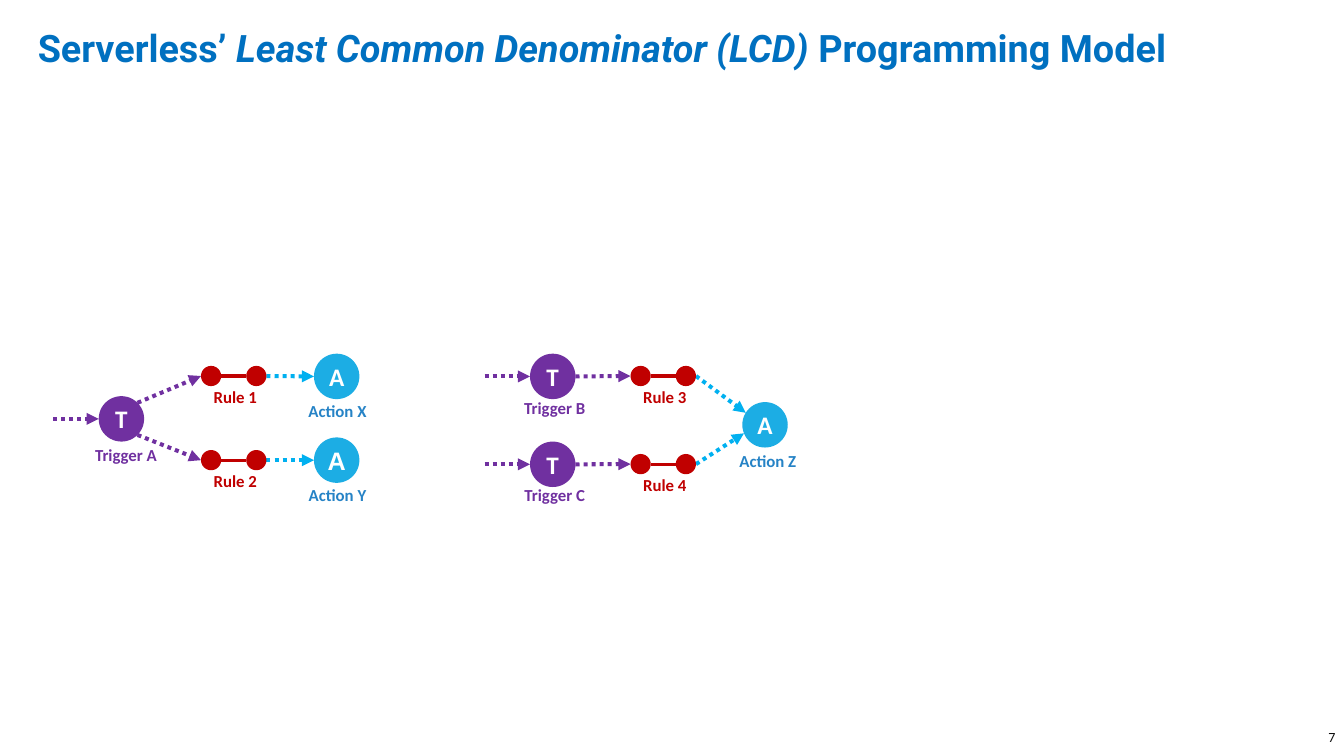
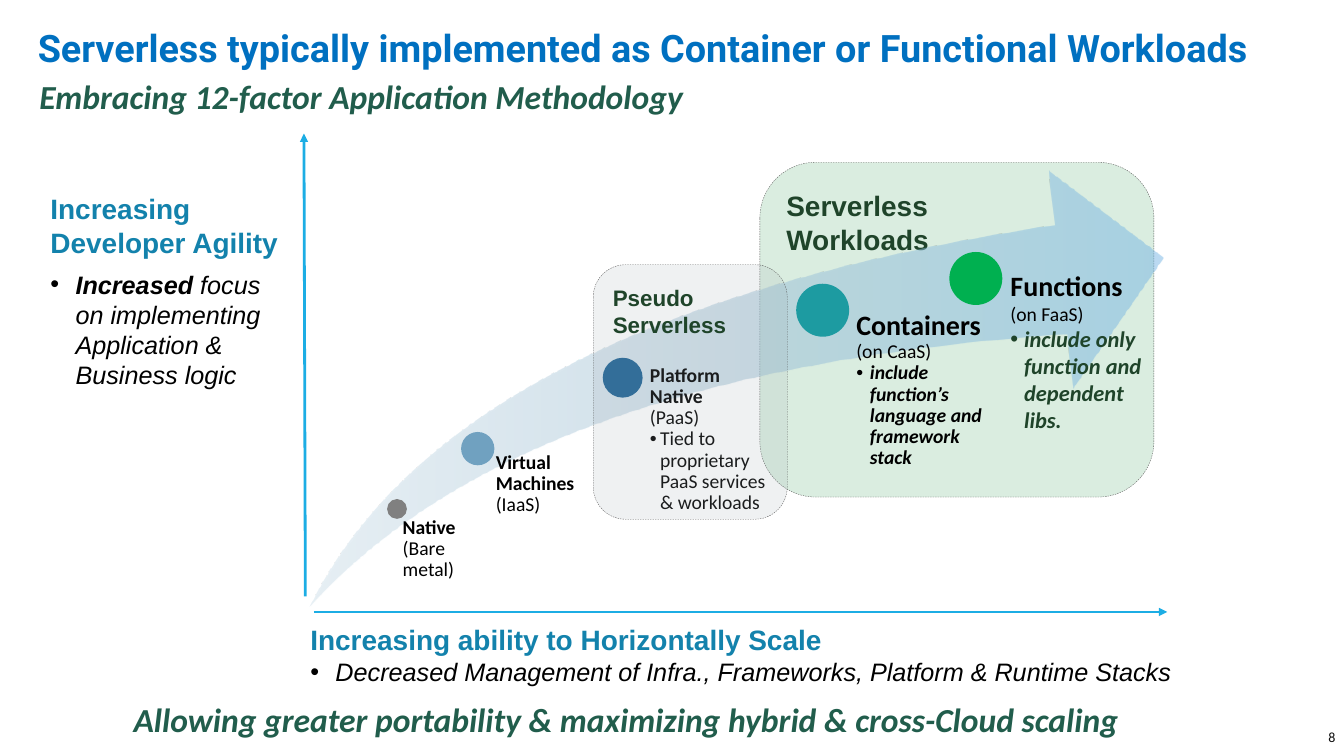
from dataclasses import dataclass
from math import cos, radians, sin
from typing import Any

from lxml import etree
from pptx import Presentation
from pptx import util as u
from pptx.dml.color import RGBColor
from pptx.enum import dml, shapes, text
from pptx.oxml.ns import qn

Cm, Pt = u.Cm, u.Pt
SHAPE, ALIGN, ANCHOR = shapes.MSO_SHAPE, text.PP_ALIGN, text.MSO_ANCHOR
DASH = dml.MSO_LINE


@dataclass(frozen=True)
class Theme:
    title: str = "0070C0"
    subtitle: str = "215D4C"
    heading: str = "1382AC"
    panel_text: str = "1F442A"
    panel_line: str = "595959"
    trigger: str = "7030A0"
    rule: str = "C00000"
    action: str = "1CADE4"
    action_label: str = "2683C6"
    action_arrow: str = "00B0F0"
    number: str = "0D0D0D"
    black: str = "000000"
    white: str = "FFFFFF"
    title_font: str = "Roboto"
    body_font: str = "Calibri"
    alt_font: str = "Arial"
    title_size: int = 54
    banner_size: int = 48
    head_size: int = 40
    letter_size: int = 36
    medium_size: int = 32
    small_size: int = 28
    label_size: int = 24
    number_size: int = 20
    dotted_width: float = 5.75
    rule_width: float = 4.5
    axis_width: float = 4


T = Theme()
NODE, DOT, RULE_LEN = 2.29, 1.02, 3.3
SWOOSH_STOPS = ((0, "CFE0EA"), (48, "A0C1D5"), (100, "75B6E5"))


@dataclass(frozen=True)
class Node:
    """A lettered circle, given by its centre; dx and drop place its label."""
    letter: str
    label: str
    x: float
    y: float
    dx: float
    drop: float
    font: str = T.body_font

    def port(self, degrees: float) -> tuple[float, float]:
        a = radians(degrees)
        return self.x + NODE / 2 * cos(a), self.y + NODE / 2 * sin(a)


@dataclass(frozen=True)
class Rule:
    """A pair of joined dots; each angle is where its arrow meets the circle."""
    label: str
    left: float
    y: float
    trigger: Node
    action: Node
    trigger_angle: float = 0
    action_angle: float = 180


@dataclass(frozen=True)
class Stage:
    """A dot on the swoosh with the text box beside it."""
    dot: tuple[float, float, float]
    color: str
    box: tuple[float, float, float, float]
    inset: float
    names: tuple[str, ...]
    service: str
    head_size: int = T.small_size
    line: float = 0.9
    bullet: str = ""
    hang: float = 0.69
    bullet_format: tuple[tuple[str, Any], ...] = ()


def write(tf, content: str, *, size: float, color: str = T.black, font: str = T.body_font,
          bold: bool = False, italic: bool = False, align=ALIGN.LEFT, line: float = 1.0,
          before: float = 0, hang: float = 0, join: bool = False) -> None:
    """Add a paragraph, or with join a further run of the last one; hang makes a bullet."""
    p = tf.paragraphs[-1]
    if not join:
        if p.runs:
            p = tf.add_paragraph()
        if hang:
            pPr = p._p.get_or_add_pPr()
            pPr.set("marL", str(Cm(hang)))
            pPr.set("indent", str(-Cm(hang)))
            etree.SubElement(pPr, qn("a:buFont"), typeface="Arial")
            etree.SubElement(pPr, qn("a:buChar"), char="•")
        p.alignment, p.line_spacing = align, line
        if before:
            p.space_before = Pt(before)
    r = p.add_run()
    r.text = content
    f = r.font
    f.name, f.size, f.bold, f.italic = font, Pt(size), bold, italic
    f.color.rgb = RGBColor.from_string(color)


def set_frame(tf, insets=None, anchor=ANCHOR.TOP, wrap: bool = True) -> None:
    tf.word_wrap, tf.vertical_anchor = wrap, anchor
    tf.auto_size = text.MSO_AUTO_SIZE.NONE
    if insets is not None:
        tf.margin_left, tf.margin_top, tf.margin_right, tf.margin_bottom = map(Cm, insets)


def add_box(s, box, **frame):
    tf = s.shapes.add_textbox(*map(Cm, box)).text_frame
    set_frame(tf, **frame)
    return tf


def add_shape(s, kind, box, color: str = "", alpha: int = 100):
    sp = s.shapes.add_shape(kind, *map(Cm, box))
    sp.shadow.inherit = False
    sp.line.fill.background()
    if color:
        sp.fill.solid()
        sp.fill.fore_color.rgb = RGBColor.from_string(color)
        if alpha < 100:
            clr = sp.element.spPr.find(".//" + qn("a:srgbClr"))
            etree.SubElement(clr, qn("a:alpha"), val=str(alpha * 1000))
    return sp


def add_line(s, start, end, color: str, width: float, dash=None, arrow: bool = True) -> None:
    c = s.shapes.add_connector(shapes.MSO_CONNECTOR.STRAIGHT, *map(Cm, (*start, *end)))
    c.line.color.rgb = RGBColor.from_string(color)
    c.line.width = Pt(width)
    if dash:
        c.line.dash_style = dash
    spPr = c.element.spPr
    if arrow:
        etree.SubElement(spPr.find(qn("a:ln")), qn("a:tailEnd"), type="triangle")
    etree.SubElement(spPr, qn("a:effectLst"))


def add_slide(prs, number: int, *title: tuple[str, bool]):
    """Title-only slide; the title comes as (text, italic) parts."""
    s = prs.slides.add_slide(prs.slide_layouts[5])
    sp = s.shapes.title
    sp.left, sp.top, sp.width, sp.height = map(Cm, (1.65, 1.32, 65.02, 2.39))
    set_frame(sp.text_frame, anchor=ANCHOR.MIDDLE)
    for i, (part, italic) in enumerate(title):
        write(sp.text_frame, part, size=T.title_size, color=T.title, font=T.title_font,
              bold=True, italic=italic, line=0.9, join=i > 0)
    tf = add_box(s, (55.5, 36.7, 11.81, 1.02), insets=(0, 0, 0, 0))
    write(tf, str(number), size=T.number_size, color=T.number, align=ALIGN.RIGHT)
    return s


def add_label(s, label: str, x: float, top: float, color: str) -> None:
    tf = add_box(s, (x - 3.43, top, 6.86, 1.27))
    write(tf, label, size=T.label_size, color=color, bold=True, align=ALIGN.CENTER)


def add_node(s, n: Node, fill: str, label_color: str) -> None:
    left, top = n.x - NODE / 2, n.y - NODE / 2
    sp = add_shape(s, SHAPE.OVAL, (left, top, NODE, NODE), fill)
    set_frame(sp.text_frame, (0, 0, 0, 0), ANCHOR.MIDDLE, wrap=False)
    write(sp.text_frame, n.letter, size=T.letter_size, color=T.white, font=n.font,
          bold=True, align=ALIGN.CENTER)
    add_label(s, n.label, n.x + n.dx, top + n.drop, label_color)


def add_rule(s, rule: Rule) -> None:
    left, right, y = rule.left, rule.left + RULE_LEN, rule.y
    add_line(s, rule.trigger.port(rule.trigger_angle), (left, y), T.trigger,
             T.dotted_width, DASH.ROUND_DOT)
    add_line(s, (right, y), rule.action.port(rule.action_angle), T.action_arrow,
             T.dotted_width, DASH.ROUND_DOT)
    add_line(s, (left + DOT, y), (right - DOT, y), T.rule, T.rule_width, arrow=False)
    for x in (left, right - DOT):
        add_shape(s, SHAPE.FLOWCHART_CONNECTOR, (x, y - DOT / 2, DOT, DOT), T.rule)
    add_label(s, rule.label, left + RULE_LEN / 2 + 0.08, y + 0.43, T.rule)


def add_panel(s, box, color: str, alpha: int, size: int, *lines: str) -> None:
    sp = add_shape(s, SHAPE.ROUNDED_RECTANGLE, box, color, alpha)
    sp.line.color.rgb = RGBColor.from_string(T.panel_line)
    sp.line.width, sp.line.dash_style = Pt(0.5), DASH.DASH
    set_frame(sp.text_frame, (0.51,) * 4)
    for line in lines:
        write(sp.text_frame, line, size=size, color=T.panel_text, font=T.alt_font, bold=True)


def add_swoosh(s, box) -> None:
    sp = add_shape(s, SHAPE.SWOOSH_ARROW, box)
    sp.adjustments[0] = sp.adjustments[1] = 0.25
    sp.fill.gradient()
    sp.fill.gradient_angle = 0
    stops = sp.element.spPr.find(".//" + qn("a:gsLst"))
    for old in list(stops):
        stops.remove(old)
    for pos, color in SWOOSH_STOPS:
        gs = etree.SubElement(stops, qn("a:gs"), pos=str(pos * 1000))
        clr = etree.SubElement(gs, qn("a:srgbClr"), val=color)
        etree.SubElement(clr, qn("a:alpha"), val="50000")


def add_stage(s, st: Stage) -> None:
    x, y, d = st.dot
    add_shape(s, SHAPE.OVAL, (x, y, d, d), st.color)
    tf = add_box(s, st.box, insets=(st.inset, 0, 0, 0))
    for name in st.names:
        write(tf, name, size=st.head_size, bold=True, line=st.line)
    write(tf, st.service, size=T.small_size, line=st.line)
    if st.bullet:
        fmt = {"size": T.small_size, **dict(st.bullet_format)}
        write(tf, st.bullet, line=st.line, hang=st.hang, **fmt)


def build_programming_model(prs) -> None:
    s = add_slide(prs, 7, ("Serverless’ ", False),
                  ("Least Common Denominator (LCD) ", True), ("Programming Model", False))
    trigger_a = Node("T", "Trigger A", 6.12, 21.11, 0.23, 2.34)
    trigger_b = Node("T", "Trigger B", 27.86, 18.97, 0.1, 2.11)
    trigger_c = Node("T", "Trigger C", 27.86, 23.4, 0.1, 2.06)
    action_x = Node("A", "Action X", 16.97, 18.97, 0.04, 2.26)
    action_y = Node("A", "Action Y", 16.97, 23.19, 0.04, 2.26, T.alt_font)
    action_z = Node("A", "Action Z", 38.56, 21.41, 0.14, 2.31)
    rules = (
        Rule("Rule 1", 10.13, 18.95, trigger_a, action_x, trigger_angle=-45),
        Rule("Rule 2", 10.13, 23.19, trigger_a, action_y, trigger_angle=45),
        Rule("Rule 3", 31.78, 18.95, trigger_b, action_z, action_angle=212),
        Rule("Rule 4", 31.78, 23.39, trigger_c, action_z, action_angle=158),
    )
    for n in (trigger_a, trigger_b, trigger_c):
        x, y = n.port(180)
        add_line(s, (x - NODE, y), (x, y), T.trigger, T.dotted_width, DASH.ROUND_DOT)
        add_node(s, n, T.trigger, T.trigger)
    for n in (action_x, action_y, action_z):
        add_node(s, n, T.action, T.action_label)
    for rule in rules:
        add_rule(s, rule)


def build_workloads(prs) -> None:
    s = add_slide(prs, 8, (
        "Serverless typically implemented as Container or Functional Workloads", False))
    add_panel(s, (38.3, 8.18, 19.86, 16.87), "D4EBDB", 86, T.head_size,
              "Serverless", "Workloads")
    for start, end in (((15.39, 30.05), (15.32, 6.73)), ((15.82, 30.84), (58.83, 30.84))):
        add_line(s, start, end, T.action, T.axis_width)

    heading = dict(size=T.head_size, color=T.heading, font=T.alt_font, bold=True)
    point = dict(size=T.letter_size, font=T.alt_font, italic=True)
    tf = add_box(s, (15.39, 31.27, 48.23, 3.51))
    write(tf, "Increasing ability to Horizontally Scale", **heading)
    write(tf, "Decreased Management of Infra., Frameworks, Platform & Runtime Stacks",
          hang=1.27, **point)
    tf = add_box(s, (2.29, 9.55, 12.29, 10.34))
    write(tf, "Increasing Developer Agility", **heading)
    write(tf, "Increased", bold=True, hang=1.27, before=14, **point)
    write(tf, " focus on implementing Application & Business logic", join=True, **point)

    add_swoosh(s, (15.62, 8.59, 43, 22))
    for st in (
        Stage((19.51, 25.15, 1), "808080", (19.79, 26.09, 5.23, 5.92), 0.51,
              ("Native",), "(Bare metal)"),
        Stage((23.24, 21.77, 1.68), "70A1C0", (24.18, 22.81, 6.32, 7.9), 0.81,
              ("Virtual", "Machines"), "(IaaS)"),
        Stage((30.38, 18.03, 2.01), "1D6294", (31.67, 18.42, 7.47, 8.53), 1.09,
              ("Platform", "Native"), "(PaaS)", hang=0.51,
              bullet="Tied to proprietary PaaS services & workloads"),
    ):
        add_stage(s, st)
    for banner, box in (
        ("Allowing greater portability & maximizing hybrid & cross-Cloud scaling",
         (6.48, 35.1, 50.72, 2.31)),
        ("Embracing 12-factor Application Methodology", (1.73, 3.71, 33.35, 2.31)),
    ):
        write(add_box(s, box, wrap=False), banner, size=T.banner_size, color=T.subtitle,
              bold=True, italic=True)
    add_panel(s, (29.9, 13.34, 9.78, 12.83), "A1ACB2", 17, T.medium_size,
              "Pseudo", "Serverless")
    strong = (("bold", True), ("italic", True))
    for st in (
        Stage((40.13, 14.3, 2.67), "1D9BA1", (41.76, 15.7, 7.98, 7.95), 1.4,
              ("Containers",), "(on CaaS)", T.head_size,
              bullet="include function’s language and framework stack",
              bullet_format=strong),
        Stage((47.85, 12.7, 2.67), "00B050", (49.15, 13.51, 9.3, 8.33), 1.78,
              ("Functions",), "(on FaaS)", T.head_size, line=1.0,
              bullet="include only function and dependent libs.",
              bullet_format=(*strong, ("size", T.medium_size), ("color", T.panel_text))),
    ):
        add_stage(s, st)


def main() -> None:
    prs = Presentation()
    prs.slide_width, prs.slide_height = Cm(67.74), Cm(38.1)
    build_programming_model(prs)
    build_workloads(prs)
    prs.save("out.pptx")


if __name__ == "__main__":
    main()
